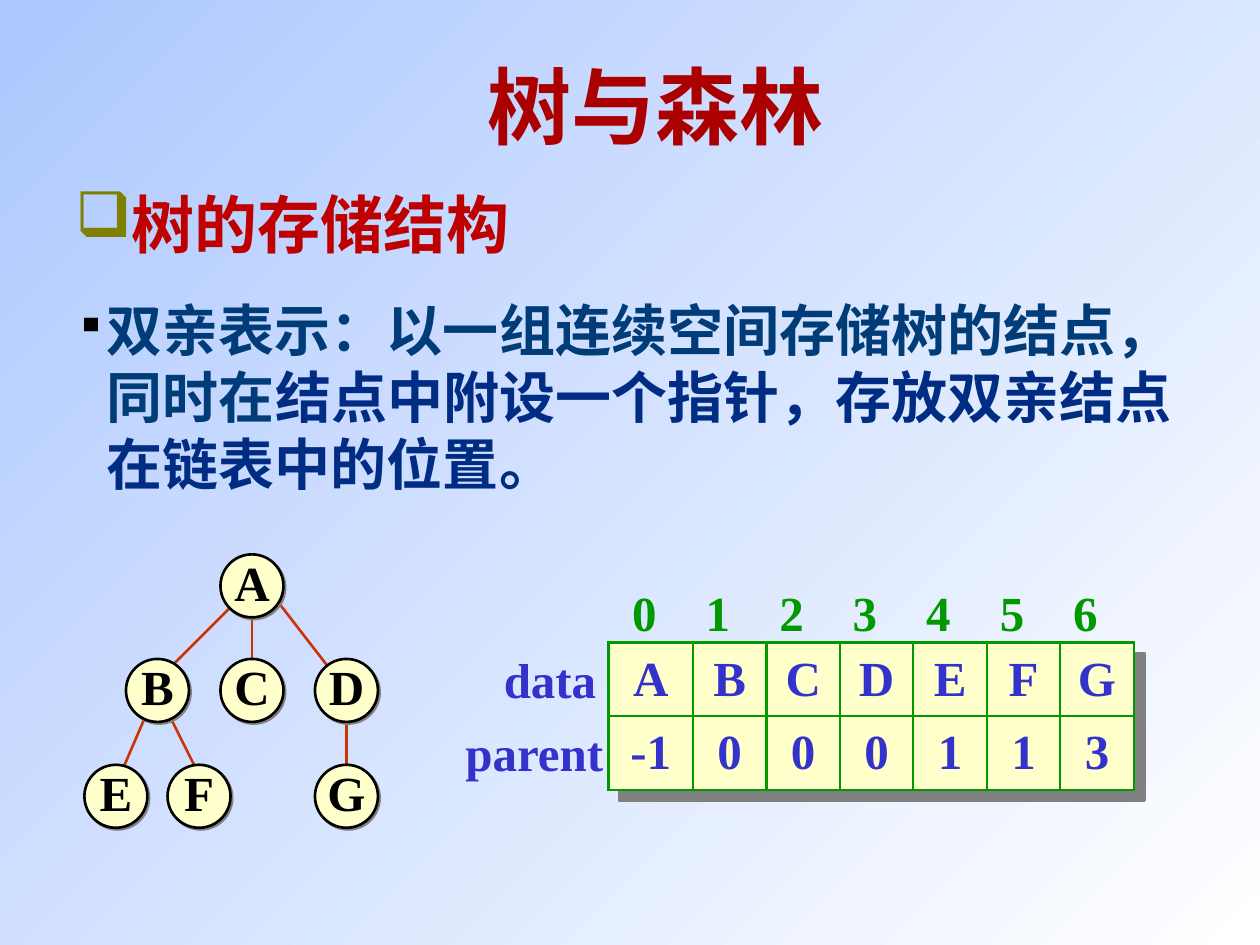
from dataclasses import dataclass

from lxml.etree import SubElement
from pptx import Presentation
from pptx.dml.color import RGBColor
from pptx.enum.shapes import MSO_CONNECTOR, MSO_SHAPE
from pptx.enum.text import MSO_ANCHOR, PP_ALIGN
from pptx.oxml import parse_xml
from pptx.oxml.ns import nsdecls, qn
from pptx.util import Inches, Pt


@dataclass(frozen=True)
class Theme:
    """Colours, fonts and type sizes of the slide."""

    title: str = "AA0000"
    heading: str = "BE0000"
    body: str = "003C78"
    body_deep: str = "002C84"
    bullet: str = "808000"
    ink: str = "000000"
    edge: str = "CC3300"
    grid: str = "009900"
    value: str = "3333CC"
    cell: str = "FFFFCC"
    shadow: str = "808080"
    back_start: str = "FFFFFF"
    back_end: str = "ADC8FF"
    latin: str = "Times New Roman"
    cjk: str = "Noto Sans CJK SC"
    title_size: int = 48
    heading_size: int = 36
    body_size: int = 32
    label_size: int = 28
    line: float = 1.5


THEME = Theme()
NODE = 0.5
NODES = {
    "A": (1.75, 4.4), "B": (1, 5.23), "C": (1.75, 5.23), "D": (2.5, 5.23),
    "E": (0.67, 6.07), "F": (1.33, 6.07), "G": (2.5, 6.07),
}
EDGES = [
    (2.75, 5.65, 2.75, 6.23), (2.17, 4.73, 2.75, 5.48),
    (1.33, 5.65, 1.58, 6.15), (1.17, 5.65, 0.92, 6.23),
    (1.83, 4.82, 1.33, 5.32), (2, 4.82, 2, 5.32),
]
ROWS = {
    "data": ["A", "B", "C", "D", "E", "F", "G"],
    "parent": ["-1", "0", "0", "0", "1", "1", "3"],
}
LABELS = {"data": (3.9, 0.93), "parent": (3.59, 1.3)}
LEFT, TOP, WIDTH, HEIGHT = 4.83, 5.1, 4.17, 1.17
FIRST_COL = 0.67
COL = (WIDTH - FIRST_COL) / 6
ROW = HEIGHT / 2


def set_all(obj, values):
    """Set every attribute named in a dict."""
    for name, value in values.items():
        setattr(obj, name, value)


def add_run(p, text, size, color, latin=THEME.latin):
    """Add a bold run in the given size, colour and Latin font."""
    r = p.add_run()
    r.text = text
    set_all(r.font, {"size": Pt(size), "bold": True, "name": latin})
    r.font.color.rgb = RGBColor.from_string(color)
    SubElement(r.font._element, qn("a:ea")).set("typeface", THEME.cjk)


def add_text(slide, box, text, size, color):
    """Add a one-line centred text box."""
    tf = slide.shapes.add_textbox(*map(Inches, box)).text_frame
    set_all(tf, {
        "margin_left": 0, "margin_right": 0, "word_wrap": True,
        "vertical_anchor": MSO_ANCHOR.MIDDLE,
    })
    tf.paragraphs[0].alignment = PP_ALIGN.CENTER
    add_run(tf.paragraphs[0], text, size, color)


def add_bullet(p, char, color, percent=100):
    """Give a paragraph a hanging bullet."""
    pPr = p._p.get_or_add_pPr()
    pPr.set("marL", str(Inches(0.25)))
    pPr.set("indent", str(-Inches(0.25)))
    clr = SubElement(pPr, qn("a:buClr"))
    SubElement(clr, qn("a:srgbClr")).set("val", color)
    SubElement(pPr, qn("a:buSzPct")).set("val", str(percent * 1000))
    SubElement(pPr, qn("a:buChar")).set("char", char)


def add_body(slide):
    """Add the heading and the explanation."""
    box = map(Inches, (0.5, 1.42, 8.92, 2.58))
    tf = slide.shapes.add_textbox(*box).text_frame
    set_all(tf, {"word_wrap": True, "margin_top": Inches(0.01)})
    p = tf.paragraphs[0]
    p.line_spacing = Pt(46)
    add_bullet(p, "❑", THEME.bullet)
    add_run(p, "树的存储结构", THEME.heading_size, THEME.heading, THEME.cjk)
    p = tf.add_paragraph()
    set_all(p, {"space_before": Pt(20), "line_spacing": Pt(38.3)})
    add_bullet(p, "▪", THEME.ink, 75)
    add_run(p, "双亲表示：以一组连续空间存储树的结点，同时在",
            THEME.body_size, THEME.body, THEME.cjk)
    add_run(p, "结点中附设一个指针，存放双亲结点在链表中的位置。",
            THEME.body_size, THEME.body_deep)


def add_panel(slide, kind, box, line, distance):
    """Add an outlined shape with a hard shadow."""
    sp = slide.shapes.add_shape(kind, *map(Inches, box))
    sp.fill.solid()
    sp.fill.fore_color.rgb = RGBColor.from_string(THEME.cell)
    sp.line.color.rgb = RGBColor.from_string(line)
    sp.line.width = Pt(THEME.line)
    sp.shadow.inherit = False
    effects = sp._element.spPr.find(qn("a:effectLst"))
    effects.append(parse_xml(
        f'<a:outerShdw {nsdecls("a")} dist="{Pt(distance)}" dir="2700000" '
        f'algn="ctr" rotWithShape="0"><a:srgbClr val="{THEME.shadow}"/>'
        '</a:outerShdw>'))
    return sp


def add_node(slide, name, left, top):
    """Add a tree node with its letter."""
    sp = add_panel(slide, MSO_SHAPE.OVAL, (left, top, NODE, NODE), THEME.ink, 1.4)
    tf = sp.text_frame
    set_all(tf, {
        "margin_left": 0, "margin_right": 0, "margin_top": 0,
        "margin_bottom": Inches(0.07), "word_wrap": False,
        "vertical_anchor": MSO_ANCHOR.MIDDLE,
    })
    tf.paragraphs[0].alignment = PP_ALIGN.CENTER
    add_run(tf.paragraphs[0], name, THEME.label_size, THEME.ink)


def add_edge(slide, ends):
    """Add a tree edge."""
    cxn = slide.shapes.add_connector(MSO_CONNECTOR.STRAIGHT, *map(Inches, ends))
    cxn.line.color.rgb = RGBColor.from_string(THEME.edge)
    cxn.line.width = Pt(THEME.line)
    SubElement(cxn._element.spPr, qn("a:effectLst"))


def fill_cell(cell, text):
    """Write, fill and border one table cell."""
    set_all(cell, {
        "margin_left": 0, "margin_right": 0, "margin_top": Inches(0.05),
        "margin_bottom": Inches(0.05), "vertical_anchor": MSO_ANCHOR.MIDDLE,
    })
    p = cell.text_frame.paragraphs[0]
    p.alignment = PP_ALIGN.CENTER
    add_run(p, text, THEME.label_size, THEME.value)
    cell.fill.solid()
    cell.fill.fore_color.rgb = RGBColor.from_string(THEME.cell)
    tcPr = cell._tc.get_or_add_tcPr()
    for i, side in enumerate(("lnL", "lnR", "lnT", "lnB")):
        tcPr.insert(i, parse_xml(
            f'<a:{side} {nsdecls("a")} w="{Pt(THEME.line)}"><a:solidFill>'
            f'<a:srgbClr val="{THEME.grid}"/></a:solidFill></a:{side}>'))


def add_array(slide):
    """Add the parent array with its row labels and indices."""
    box = (LEFT, TOP, WIDTH, HEIGHT)
    add_panel(slide, MSO_SHAPE.RECTANGLE, box, THEME.grid, 8.5)
    table = slide.shapes.add_table(2, 7, *map(Inches, box)).table
    set_all(table, {"first_row": False, "horz_banding": False})
    for j, column in enumerate(table.columns):
        column.width = Inches(COL if j else FIRST_COL)
        index_box = (LEFT + j * COL, 4.57, 0.57, 0.57)
        add_text(slide, index_box, str(j), THEME.label_size, THEME.grid)
    for i, (label, values) in enumerate(ROWS.items()):
        table.rows[i].height = Inches(ROW)
        left, width = LABELS[label]
        add_text(slide, (left, TOP + i * ROW, width, 0.57), label,
                 THEME.label_size, THEME.value)
        for j, value in enumerate(values):
            fill_cell(table.cell(i, j), value)


def set_background(slide):
    """Paint the diagonal gradient background."""
    fill = slide.background.fill
    fill.gradient()
    fill.gradient_angle = 135
    for stop, color in zip(fill.gradient_stops, (THEME.back_start, THEME.back_end)):
        stop.color.rgb = RGBColor.from_string(color)


def main():
    """Build and save the slide."""
    prs = Presentation()
    set_all(prs, {"slide_width": Inches(10), "slide_height": Inches(7.5)})
    s = prs.slides.add_slide(prs.slide_layouts[6])
    set_background(s)
    add_body(s)
    add_text(s, (3.58, 0.5, 3.25, 0.67), "树与森林", THEME.title_size, THEME.title)
    for ends in EDGES:
        add_edge(s, ends)
    for name, (left, top) in NODES.items():
        add_node(s, name, left, top)
    add_array(s)
    prs.save("out.pptx")


if __name__ == "__main__":
    main()
